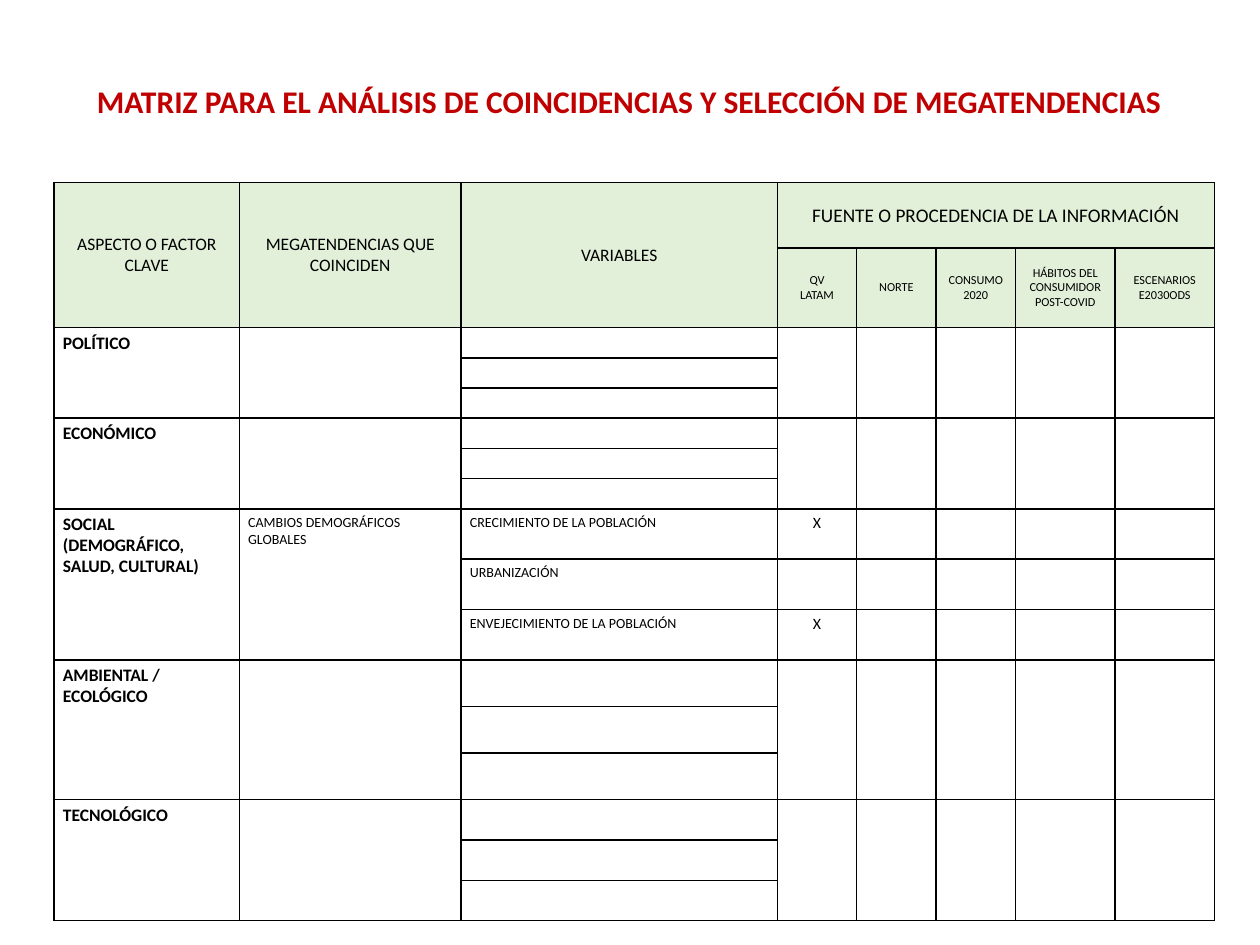
"""Builds a one-slide matrix for matching and selecting megatrends."""
from lxml.etree import SubElement
from pptx import Presentation
from pptx.dml.color import RGBColor
from pptx.enum.text import MSO_ANCHOR, MSO_AUTO_SIZE, PP_ALIGN
from pptx.oxml import parse_xml
from pptx.oxml.ns import nsdecls, qn
from pptx.util import Inches, Pt

COLORS = {"title": "C00000", "header": "E2F0D9", "ink": "000000"}
COLUMN_WIDTHS = [1.47, 1.76, 2.51, 0.63, 0.63, 0.63, 0.79, 0.79]
HEADER_HEIGHTS = [0.52, 0.63]
FACTORS = [
    ("POLÍTICO", 0.24),
    ("ECONÓMICO", 0.24),
    ("SOCIAL (DEMOGRÁFICO, SALUD, CULTURAL)", 0.4),
    ("AMBIENTAL / ECOLÓGICO", 0.37),
    ("TECNOLÓGICO", 0.32),
]
VARIABLES_PER_FACTOR = 3
FIRST_SOURCE = 3
SOCIAL = 2
HEADINGS = ["ASPECTO O FACTOR CLAVE", "MEGATENDENCIAS QUE COINCIDEN", "VARIABLES"]
SOURCES = [
    "QV\nLATAM",
    "NORTE",
    "CONSUMO 2020",
    "HÁBITOS DEL CONSUMIDOR POST-COVID",
    "ESCENARIOS E2030ODS",
]
SOCIAL_VARIABLES = [
    ("CRECIMIENTO DE LA POBLACIÓN", "X"),
    ("URBANIZACIÓN", ""),
    ("ENVEJECIMIENTO DE LA POBLACIÓN", "X"),
]


class MatrixSlide:
    """Holds the style and the current slide."""

    font_name = "Calibri"
    border_width = Pt(1)

    def __init__(self, deck):
        self.page = deck.slides.add_slide(deck.slide_layouts[5])

    def style(self, paragraph, size, color="ink", bold=False, align=PP_ALIGN.LEFT):
        paragraph.alignment = align
        font = paragraph.font
        font.name, font.size, font.bold = self.font_name, Pt(size), bold
        font.color.rgb = RGBColor.from_string(COLORS[color])

    def title(self, text, left, top, width, height):
        box = self.page.shapes.title
        box.left, box.top = Inches(left), Inches(top)
        box.width, box.height = Inches(width), Inches(height)
        frame = box.text_frame
        frame.text = text
        frame.word_wrap = True
        frame.auto_size = MSO_AUTO_SIZE.NONE
        frame.vertical_anchor = MSO_ANCHOR.TOP
        self.style(frame.paragraphs[0], 18, "title", True, PP_ALIGN.CENTER)

    def table(self, left, top, widths, heights):
        table = self.page.shapes.add_table(
            len(heights), len(widths), Inches(left), Inches(top),
            Inches(sum(widths)), Inches(sum(heights)),
        ).table
        table.first_row = table.horz_banding = False
        for column, width in zip(table.columns, widths):
            column.width = Inches(width)
        for row, height in zip(table.rows, heights):
            row.height = Inches(height)
        for cell in table.iter_cells():
            self.blank_cell(cell)
        return table

    def blank_cell(self, cell):
        cell.margin_left = cell.margin_right = Inches(0.07)
        cell.margin_top = cell.margin_bottom = Inches(0.04)
        properties = cell._tc.get_or_add_tcPr()
        for side in "LRTB":
            properties.append(parse_xml(
                f'<a:ln{side} {nsdecls("a")} w="{self.border_width}"><a:solidFill>'
                f'<a:srgbClr val="{COLORS["ink"]}"/></a:solidFill></a:ln{side}>'
            ))
        cell.fill.background()
        paragraph = cell.text_frame.paragraphs[0]
        SubElement(paragraph._p, qn("a:endParaRPr"), sz="800")

    def cell(self, cell, text, size, bold=False, align=PP_ALIGN.LEFT):
        cell.text = text
        for paragraph in cell.text_frame.paragraphs:
            self.style(paragraph, size, bold=bold, align=align)

    def header(self, cell, text, size):
        self.cell(cell, text, size, align=PP_ALIGN.CENTER)
        cell.vertical_anchor = MSO_ANCHOR.MIDDLE
        cell.fill.solid()
        cell.fill.fore_color.rgb = RGBColor.from_string(COLORS["header"])


def fill_headers(slide, table):
    """Write the two header rows."""
    for column, heading in enumerate(HEADINGS):
        table.cell(0, column).merge(table.cell(1, column))
        slide.header(table.cell(0, column), heading, 10)
    last = len(COLUMN_WIDTHS) - 1
    table.cell(0, FIRST_SOURCE).merge(table.cell(0, last))
    slide.header(table.cell(0, FIRST_SOURCE), "FUENTE O PROCEDENCIA DE LA INFORMACIÓN", 11)
    for column, source in enumerate(SOURCES, FIRST_SOURCE):
        slide.header(table.cell(1, column), source, 7)


def fill_factors(slide, table):
    """Write one block of rows for each factor."""
    for index, (name, _) in enumerate(FACTORS):
        top = len(HEADER_HEIGHTS) + index * VARIABLES_PER_FACTOR
        bottom = top + VARIABLES_PER_FACTOR - 1
        sources = [] if index == SOCIAL else range(FIRST_SOURCE, len(COLUMN_WIDTHS))
        for column in [0, 1, *sources]:
            table.cell(top, column).merge(table.cell(bottom, column))
        slide.cell(table.cell(top, 0), name, 10, bold=True)
        if index == SOCIAL:
            slide.cell(table.cell(top, 1), "CAMBIOS DEMOGRÁFICOS GLOBALES", 8)
            for row, (variable, mark) in enumerate(SOCIAL_VARIABLES, top):
                slide.cell(table.cell(row, 2), variable, 8)
                if mark:
                    slide.cell(table.cell(row, FIRST_SOURCE), mark, 9, align=PP_ALIGN.CENTER)


def main():
    """Build and save the deck."""
    deck = Presentation()
    deck.slide_width, deck.slide_height = Inches(10), Inches(7.5)
    slide = MatrixSlide(deck)
    slide.title(
        "MATRIZ PARA EL ANÁLISIS DE COINCIDENCIAS Y SELECCIÓN DE MEGATENDENCIAS",
        0.43, 0.6, 9.13, 0.4,
    )
    heights = HEADER_HEIGHTS + [
        height for _, height in FACTORS for _ in range(VARIABLES_PER_FACTOR)
    ]
    table = slide.table(0.43, 1.45, COLUMN_WIDTHS, heights)
    fill_headers(slide, table)
    fill_factors(slide, table)
    deck.save("out.pptx")


if __name__ == "__main__":
    main()
